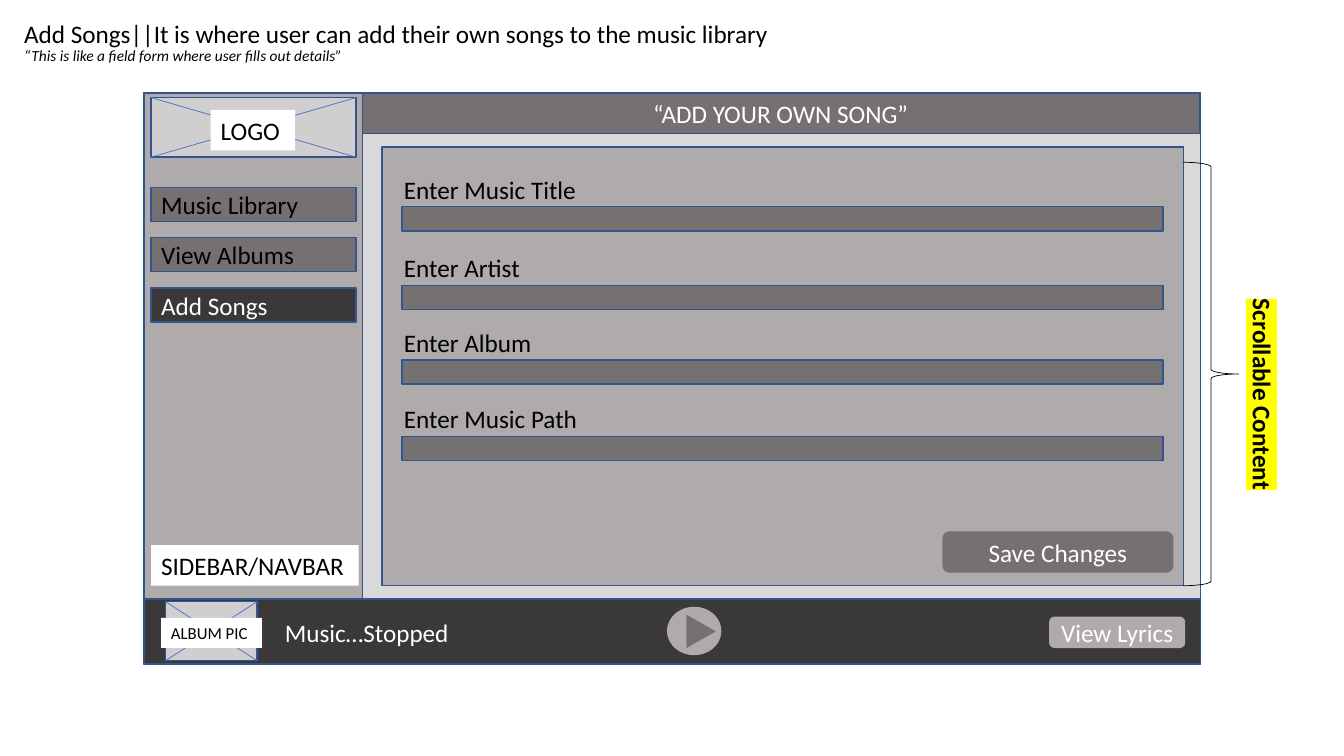
from lxml import etree
from pptx import Presentation
from pptx.dml.color import RGBColor
from pptx.enum.shapes import MSO_CONNECTOR, MSO_SHAPE
from pptx.enum.text import MSO_ANCHOR, MSO_AUTO_SIZE, PP_ALIGN
from pptx.oxml.ns import qn
from pptx.util import Cm, Pt

RECT, ROUND = MSO_SHAPE.RECTANGLE, MSO_SHAPE.ROUNDED_RECTANGLE
OVAL, TRIANGLE, BRACE = MSO_SHAPE.OVAL, MSO_SHAPE.ISOSCELES_TRIANGLE, MSO_SHAPE.RIGHT_BRACE
STRAIGHT = MSO_CONNECTOR.STRAIGHT
LEFT, CENTER = PP_ALIGN.LEFT, PP_ALIGN.CENTER
TOP, MIDDLE = MSO_ANCHOR.TOP, MSO_ANCHOR.MIDDLE
FIT, FIXED = MSO_AUTO_SIZE.SHAPE_TO_FIT_TEXT, MSO_AUTO_SIZE.NONE

BLACK = RGBColor(0x00, 0x00, 0x00)
WHITE = RGBColor(0xFF, 0xFF, 0xFF)
PALE = RGBColor(0xD9, 0xD9, 0xD9)
SILVER = RGBColor(0xD0, 0xCE, 0xCE)
GRAY = RGBColor(0xAF, 0xAB, 0xAB)
DIM = RGBColor(0x76, 0x71, 0x71)
DARK = RGBColor(0x3B, 0x38, 0x38)
NAVY = RGBColor(0x32, 0x54, 0x91)
BLUE = RGBColor(0x44, 0x72, 0xC4)
YELLOW = RGBColor(0xFF, 0xFF, 0x00)


class Wireframe:
    font = "Calibri"

    def __init__(self, slide):
        self.s = slide

    def fill_text(self, sp, text, color=BLACK, size=18, align=LEFT, anchor=TOP, fit=FIT, **style):
        tf = sp.text_frame
        frame = {"word_wrap": True, "auto_size": fit, "vertical_anchor": anchor}
        for name, value in frame.items():
            setattr(tf, name, value)
        p = tf.paragraphs[0]
        p.alignment = align
        r = p.add_run()
        r.text = text
        for name, value in {"name": self.font, "size": Pt(size), **style}.items():
            setattr(r.font, name, value)
        r.font.color.rgb = color
        return r

    def shape(self, kind, x, y, w, h, fill=None, line=None, width=1, parent=None):
        shapes = (parent or self.s).shapes
        sp = shapes.add_shape(kind, Cm(x), Cm(y), Cm(w), Cm(h))
        sp.shadow.inherit = False
        if fill is None:
            sp.fill.background()
        else:
            sp.fill.solid()
            sp.fill.fore_color.rgb = fill
        if line is None:
            sp.line.fill.background()
        else:
            sp.line.color.rgb = line
            sp.line.width = Pt(width)
        return sp

    def text(self, x, y, w, h, text, **style):
        sp = self.s.shapes.add_textbox(Cm(x), Cm(y), Cm(w), Cm(h))
        return sp, self.fill_text(sp, text, **style)

    def label(self, x, y, w, h, text, size=18):
        self.fill_text(self.shape(RECT, x, y, w, h, WHITE), text, size=size)

    def bar(self, kind, x, y, w, h, text, fill, line=None, color=WHITE, align=CENTER):
        sp = self.shape(kind, x, y, w, h, fill, line)
        self.fill_text(sp, text, color, align=align, anchor=MIDDLE, fit=FIXED)

    def image_box(self, x, y, w, h):
        group = self.s.shapes.add_group_shape()
        self.shape(RECT, x, y, w, h, SILVER, NAVY, parent=group)
        for x1, x2 in ((x, x + w), (x + w, x)):
            c = group.shapes.add_connector(STRAIGHT, Cm(x1), Cm(y), Cm(x2), Cm(y + h))
            c.line.color.rgb = BLUE
            c.line.width = Pt(0.5)
            etree.SubElement(c._element.spPr, qn("a:effectLst"))

    def highlight(self, r, color):
        mark = etree.Element(qn("a:highlight"))
        etree.SubElement(mark, qn("a:srgbClr"), val=str(color))
        r._r.rPr.find(qn("a:solidFill")).addnext(mark)


def main():
    prs = Presentation()
    prs.slide_width, prs.slide_height = Cm(33.87), Cm(19.05)
    ui = Wireframe(prs.slides.add_slide(prs.slide_layouts[6]))

    # Heading
    ui.text(0.36, 0.33, 21.23, 1.02,
            "Add Songs||It is where user can add their own songs to the music library")
    ui.text(0.36, 1.04, 13.36, 0.74,
            "“This is like a field form where user fills out details”", size=11, italic=True)

    # Window, form panel and header
    ui.shape(RECT, 3.63, 2.34, 26.62, 14.4, PALE, NAVY)
    ui.shape(RECT, 9.63, 3.71, 20.19, 11.05, GRAY, NAVY)
    ui.bar(RECT, 9.12, 2.34, 21.11, 1.02, "“ADD YOUR OWN SONG”", DIM, NAVY)

    # Sidebar
    ui.shape(RECT, 3.63, 2.34, 5.51, 12.75, GRAY, NAVY)
    ui.label(3.81, 13.74, 5.23, 1.02, "SIDEBAR/NAVBAR")
    ui.image_box(3.81, 2.46, 5.16, 1.5)
    ui.label(5.31, 2.77, 2.13, 1.02, "LOGO")
    menu = (("Music Library", DIM, BLACK), ("View Albums", DIM, BLACK), ("Add Songs", DARK, WHITE))
    for i, (item, fill, color) in enumerate(menu):
        ui.bar(RECT, 3.81, 4.72 + 1.27 * i, 5.16, 0.86, item, fill, NAVY, color, LEFT)

    # Player
    ui.shape(RECT, 3.63, 15.09, 26.62, 1.63, DARK, NAVY)
    ui.image_box(4.17, 15.16, 2.31, 1.49)
    ui.label(4.06, 15.57, 2.54, 0.76, "ALBUM PIC", size=12)
    ui.text(6.93, 15.42, 8.81, 1.02, "Music…Stopped", color=WHITE)
    play = ui.s.shapes.add_group_shape()
    ui.shape(OVAL, 16.81, 15.29, 1.37, 1.22, GRAY, parent=play)
    ui.shape(TRIANGLE, 17.25, 15.54, 0.84, 0.74, DIM, parent=play).rotation = 90
    ui.bar(ROUND, 26.44, 15.54, 3.43, 0.79, "View Lyrics", GRAY)

    # Form fields
    fields = (("Enter Music Title", 5.21), ("Enter Artist", 7.19),
              ("Enter Album", 9.07), ("Enter Music Path", 11))
    for name, y in fields:
        ui.shape(RECT, 10.13, y, 19.18, 0.61, DIM, NAVY)
        ui.text(9.93, y - 0.95, 7.95, 1.02, name)
    ui.bar(ROUND, 23.75, 13.39, 5.82, 1.04, "Save Changes", DIM)

    # Scroll note
    ui.shape(BRACE, 29.82, 4.09, 1.4, 10.67, line=BLACK, width=0.5)
    note, r = ui.text(28.8, 9.8, 6.05, 1.02, "Scrollable Content", bold=True)
    note.rotation = 90
    ui.highlight(r, YELLOW)

    prs.save("out.pptx")


if __name__ == "__main__":
    main()
